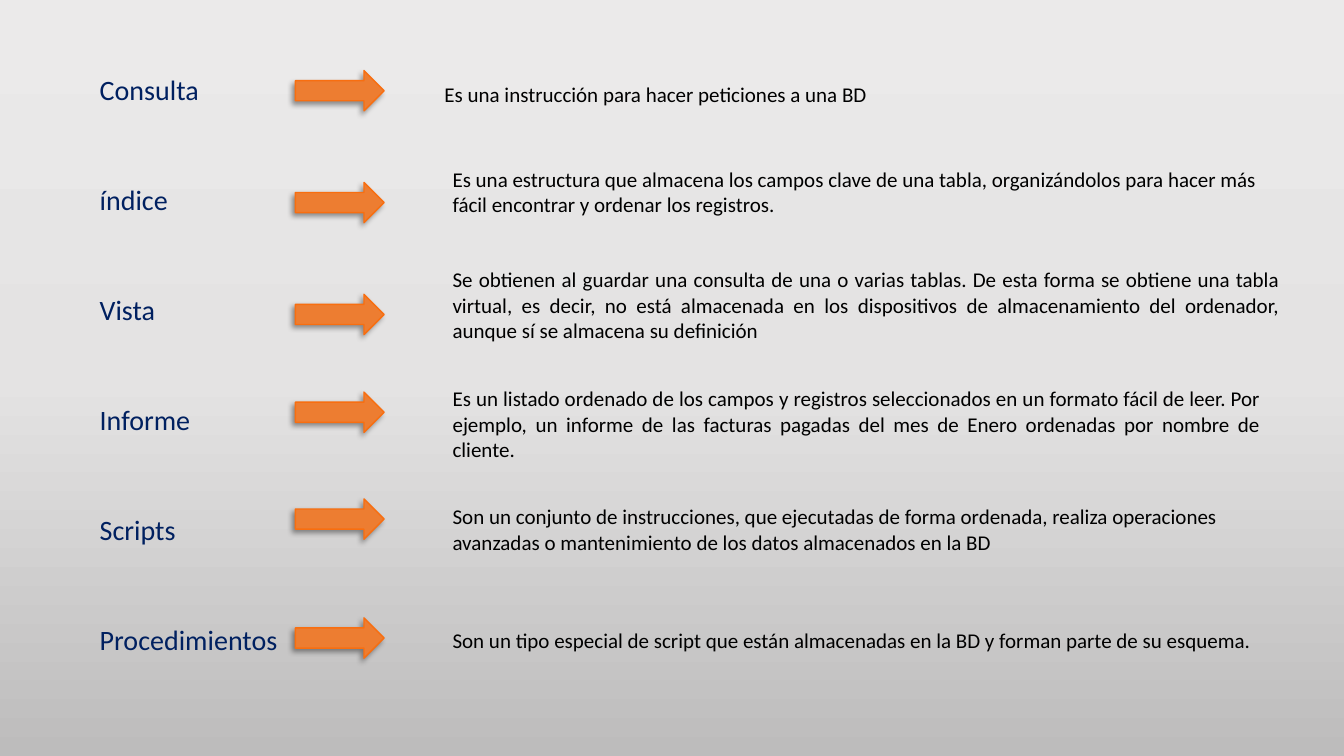
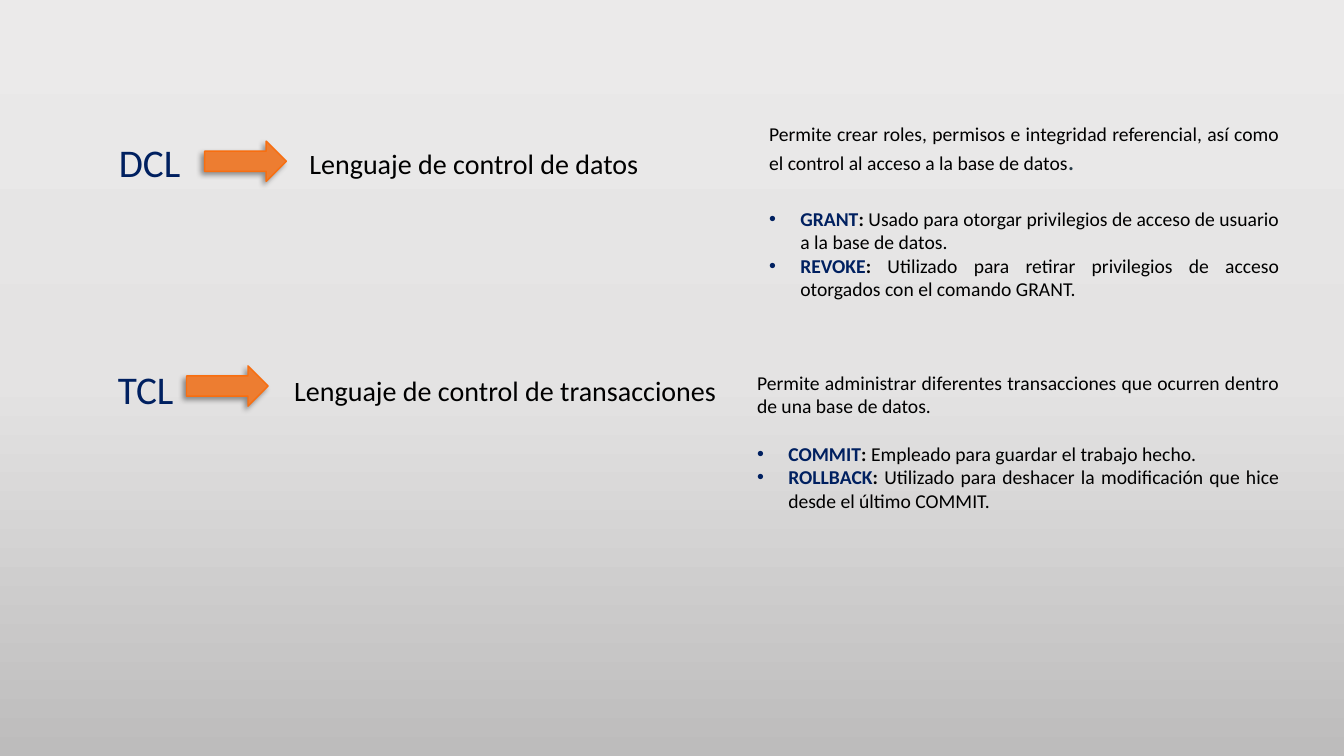
from dataclasses import dataclass

from lxml.etree import SubElement as Sub
from pptx import Presentation
from pptx.dml.color import RGBColor as Rgb
from pptx.enum.shapes import MSO_SHAPE as Kind
from pptx.enum.text import MSO_AUTO_SIZE as Fit, PP_ALIGN as Align
from pptx.oxml.ns import qn
from pptx.presentation import Presentation as Deck
from pptx.shapes.autoshape import Shape
from pptx.slide import Slide
from pptx.util import Inches, Pt


@dataclass(frozen=True)
class Theme:
    navy: str = "002060"
    black: str = "000000"
    slate: str = "273B47"
    fill: str = "ED7D31"
    edge: str = "F86E10"
    back: tuple[str, ...] = ("EBEAEA", "E4E3E3", "BDBCBC")
    face: str = "Calibri"
    accent: str = "Lato"
    head: int = 28
    label: int = 20
    stop: int = 18
    body: int = 15
    detail: int = 14


THEME = Theme()


@dataclass(frozen=True)
class Run:
    text: str
    size: int
    color: str = THEME.black
    bold: bool = False
    face: str = THEME.face


@dataclass(frozen=True)
class Para:
    runs: tuple[Run, ...]
    align: Align = Align.LEFT
    bullet: bool = False
    gap: int = 0


@dataclass(frozen=True)
class Box:
    left: float
    top: float
    width: float
    height: float


@dataclass(frozen=True)
class Term:
    name: str
    width: float
    arrow: float
    text: str
    box: Box
    align: Align = Align.LEFT
    wrap: bool = True


@dataclass(frozen=True)
class Group:
    name: str
    box: Box
    arrow: Box
    title: str
    place: Box
    intro: tuple[Run, ...]
    detail: Box
    gap: int
    items: tuple[tuple[str, str], ...]


LABEL_LEFT, FIRST, LAST = 0.89, 0.67, 6.13
LABEL_HIGH = 0.44
ARROW_LEFT, ARROW_WIDE, ARROW_HIGH = 2.93, 0.88, 0.4
TEXT_LEFT = 4.39
INDENT = 0.31

TERMS = (
    Term("Consulta", 1.19, 0.7,
         "Es una instrucción para hacer peticiones a una BD",
         Box(4.31, 0.76, 4.43, 0.35), wrap=False),
    Term("índice", 0.98, 1.81,
         "Es una estructura que almacena los campos clave de una tabla, "
         "organizándolos para hacer más fácil encontrar y ordenar los registros.",
         Box(TEXT_LEFT, 1.6, 8.4, 0.61)),
    Term("Vista", 0.98, 2.92,
         "Se obtienen al guardar una consulta de una o varias tablas. De esta "
         "forma se obtiene una tabla virtual, es decir, no está almacenada en los "
         "dispositivos de almacenamiento del ordenador, aunque sí se almacena su "
         "definición",
         Box(TEXT_LEFT, 2.6, 8.4, 0.86), Align.JUSTIFY),
    Term("Informe", 1.19, 3.89,
         "Es un listado ordenado de los campos y registros seleccionados en un "
         "formato fácil de leer. Por ejemplo, un informe de las facturas pagadas "
         "del mes de Enero ordenadas por nombre de cliente.",
         Box(TEXT_LEFT, 3.78, 8.21, 0.86), Align.JUSTIFY),
    Term("Scripts", 1.19, 4.95,
         "Son un conjunto de instrucciones, que ejecutadas de forma ordenada, "
         "realiza operaciones avanzadas o mantenimiento de los datos almacenados "
         "en la BD",
         Box(TEXT_LEFT, 4.95, 8.52, 0.61)),
    Term("Procedimientos", 2.32, 6.13,
         "Son un tipo especial de script que están almacenadas en la BD y forman "
         "parte de su esquema.",
         Box(TEXT_LEFT, 6.18, 8.4, 0.35)),
)

GROUPS = (
    Group("DCL", Box(1.08, 1.32, 0.82, 0.57), Box(2.03, 1.4, 0.81, ARROW_HIGH),
          "Lenguaje de control de datos", Box(2.97, 1.4, 3.49, LABEL_HIGH),
          (Run("Permite crear roles, permisos e integridad referencial, así como "
               "el control al acceso a la base de datos", THEME.detail),
           Run(".", THEME.stop, THEME.slate, face=THEME.accent)),
          Box(7.53, 1.16, 5.26, 2.19), 22,
          (("GRANT", " Usado para otorgar privilegios de acceso de usuario a "
                     "la base de datos."),
           ("REVOKE", " Utilizado para retirar privilegios de acceso otorgados "
                      "con el comando GRANT."))),
    Group("TCL", Box(1.07, 3.58, 0.76, 0.57), Box(1.85, 3.63, 0.81, ARROW_HIGH),
          "Lenguaje de control de transacciones", Box(2.82, 3.66, 4.43, LABEL_HIGH),
          (Run("Permite administrar diferentes transacciones que ocurren dentro "
               "de una base de datos.", THEME.detail),),
          Box(7.41, 3.63, 5.38, 1.75), 17,
          (("COMMIT", " Empleado para guardar el trabajo hecho."),
           ("ROLLBACK", " Utilizado para deshacer la modificación que hice desde "
                        "el último COMMIT."))),
)


def frame(box: Box) -> tuple[Inches, ...]:
    return tuple(Inches(n) for n in (box.left, box.top, box.width, box.height))


def add_text(slide: Slide, box: Box, *paras: Para, wrap: bool = True) -> None:
    body = slide.shapes.add_textbox(*frame(box)).text_frame
    body.word_wrap = wrap
    body.auto_size = Fit.SHAPE_TO_FIT_TEXT
    for i, para in enumerate(paras):
        line = body.add_paragraph() if i else body.paragraphs[0]
        line.alignment = para.align
        if para.gap:
            line.space_before = Pt(para.gap)
        if para.bullet:
            props = line._p.get_or_add_pPr()
            props.set("marL", str(Inches(INDENT)))
            props.set("indent", str(-Inches(INDENT)))
            Sub(props, qn("a:buFont"), typeface="Arial")
            Sub(props, qn("a:buChar"), char="•")
        for part in para.runs:
            run = line.add_run()
            run.text = part.text
            style = {"name": part.face, "size": Pt(part.size), "bold": part.bold}
            for key, value in style.items():
                setattr(run.font, key, value)
            run.font.color.rgb = Rgb.from_string(part.color)


def add_shade(shape: Shape) -> None:
    """Cast a soft shadow to the lower left."""
    shape.shadow.inherit = False
    effects = shape._element.spPr.find(qn("a:effectLst"))
    shade = Sub(effects, qn("a:outerShdw"), blurRad=str(Pt(4)), dist=str(Pt(3)),
                dir=str(135 * 60000), algn="tr", rotWithShape="0")
    color = Sub(shade, qn("a:srgbClr"), val=THEME.black)
    Sub(color, qn("a:alpha"), val="40000")


def add_arrow(slide: Slide, box: Box) -> None:
    arrow = slide.shapes.add_shape(Kind.RIGHT_ARROW, *frame(box))
    arrow.fill.solid()
    arrow.fill.fore_color.rgb = Rgb.from_string(THEME.fill)
    arrow.line.color.rgb = Rgb.from_string(THEME.edge)
    arrow.line.width = Pt(1)
    add_shade(arrow)


def set_back(deck: Deck) -> None:
    """Give the master the gradient that every slide shows."""
    master = deck.slide_master
    fill = master.background.fill
    fill.gradient()
    fill.gradient_angle = 270
    stops = master.element.find(".//" + qn("a:gsLst"))
    for old in list(stops):
        stops.remove(old)
    step = 100000 // (len(THEME.back) - 1)
    for i, color in enumerate(THEME.back):
        stop = Sub(stops, qn("a:gs"), pos=str(i * step))
        Sub(stop, qn("a:srgbClr"), val=color)


def draw_terms(slide: Slide) -> None:
    step = (LAST - FIRST) / (len(TERMS) - 1)
    for i, term in enumerate(TERMS):
        add_text(slide, Box(LABEL_LEFT, FIRST + i * step, term.width, LABEL_HIGH),
                 Para((Run(term.name, THEME.label, THEME.navy),)))
        add_arrow(slide, Box(ARROW_LEFT, term.arrow, ARROW_WIDE, ARROW_HIGH))
        add_text(slide, term.box, Para((Run(term.text, THEME.body),), term.align),
                 wrap=term.wrap)


def draw_groups(slide: Slide) -> None:
    for group in GROUPS:
        add_text(slide, group.box,
                 Para((Run(group.name, THEME.head, THEME.navy),)), wrap=False)
        add_arrow(slide, group.arrow)
        add_text(slide, group.place,
                 Para((Run(group.title, THEME.label),)), wrap=False)
        paras = [Para(group.intro, Align.JUSTIFY)]
        for i, (word, text) in enumerate(group.items):
            runs = (Run(word, THEME.detail, THEME.navy, True),
                    Run(":", THEME.detail, bold=True),
                    Run(text, THEME.detail))
            paras.append(Para(runs, Align.JUSTIFY, True, 0 if i else group.gap))
        add_text(slide, group.detail, *paras)


def main() -> None:
    deck = Presentation()
    deck.slide_width, deck.slide_height = Inches(13.33), Inches(7.5)
    set_back(deck)
    blank = deck.slide_layouts[6]
    for draw in (draw_terms, draw_groups):
        draw(deck.slides.add_slide(blank))
    deck.save("out.pptx")


if __name__ == "__main__":
    main()
